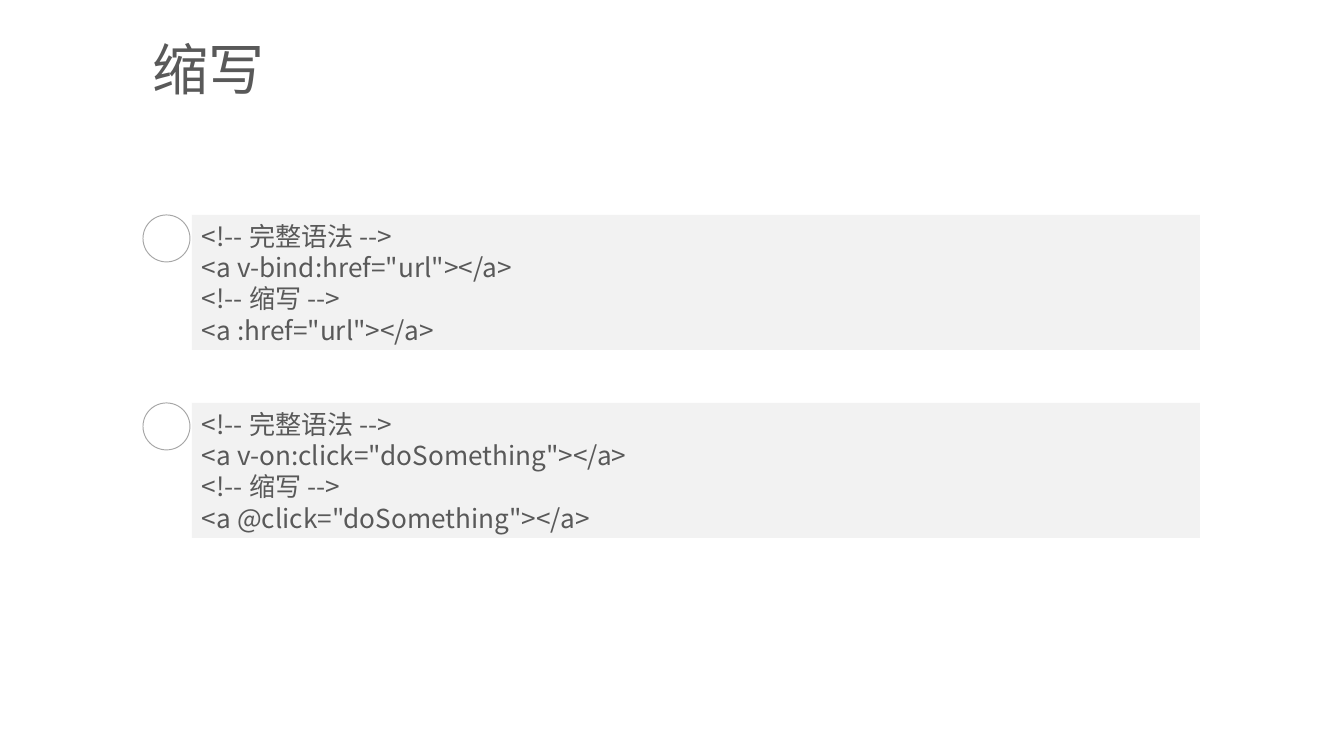
from pptx import Presentation
from pptx.dml.color import RGBColor
from pptx.enum.shapes import MSO_SHAPE
from pptx.enum.text import MSO_ANCHOR, PP_ALIGN
from pptx.oxml.ns import qn
from pptx.util import Pt
from lxml import etree

RECTANGLE = MSO_SHAPE.RECTANGLE
OVAL = MSO_SHAPE.OVAL
TOP = MSO_ANCHOR.TOP
LEFT = PP_ALIGN.LEFT

EMU_PER_PX = 914400 / 134.4
FONT = "Noto Sans CJK SC"
TEXT_COLOR = "595959"
PANEL_COLOR = "F2F2F2"
RING_COLOR = "A6A6A6"
LINE_HEIGHT = 1.2

EXAMPLES = [
    [
        "<!-- 完整语法 -->",
        '<a v-bind:href="url"></a>',
        "<!-- 缩写 -->",
        '<a :href="url"></a>',
    ],
    [
        "<!-- 完整语法 -->",
        '<a v-on:click="doSomething"></a>',
        "<!-- 缩写 -->",
        '<a @click="doSomething"></a>',
    ],
]


def px(value):
    return round(value * EMU_PER_PX)


def color(value):
    return RGBColor.from_string(value)


def write_lines(shape, lines, size):
    frame = shape.text_frame
    frame.word_wrap = True
    frame.vertical_anchor = TOP
    frame.margin_left = frame.margin_right = px(10)
    frame.margin_top = frame.margin_bottom = px(5)
    frame.text = "\n".join(lines)
    for paragraph in frame.paragraphs:
        paragraph.alignment = LEFT
        paragraph.line_spacing = Pt(size * LINE_HEIGHT)
        paragraph.font.size = Pt(size)
        paragraph.font.name = FONT
        paragraph.font.color.rgb = color(TEXT_COLOR)
        for run in paragraph.runs:
            properties = run.font._element
            etree.SubElement(properties, qn("a:ea")).set("typeface", FONT)


def add_title(slide, text):
    box = slide.shapes.add_textbox(px(142), px(30), px(137), px(78))
    write_lines(box, [text], 30)


def add_code_panel(slide, top, lines):
    panel = slide.shapes.add_shape(RECTANGLE, px(192), px(top), px(1008), px(135))
    panel.shadow.inherit = False
    panel.fill.solid()
    panel.fill.fore_color.rgb = color(PANEL_COLOR)
    panel.line.fill.background()
    write_lines(panel, lines, 14)


def add_ring(slide, top):
    ring = slide.shapes.add_shape(OVAL, px(143), px(top), px(47), px(47))
    ring.shadow.inherit = False
    ring.fill.background()
    ring.line.color.rgb = color(RING_COLOR)
    ring.line.width = Pt(0.5)


def main():
    presentation = Presentation()
    presentation.slide_width = px(1344)
    presentation.slide_height = px(756)
    slide = presentation.slides.add_slide(presentation.slide_layouts[6])
    add_title(slide, "缩写")
    for index, lines in enumerate(EXAMPLES):
        top = 215 + index * 188
        add_code_panel(slide, top, lines)
        add_ring(slide, top)
    presentation.save("out.pptx")


if __name__ == "__main__":
    main()
